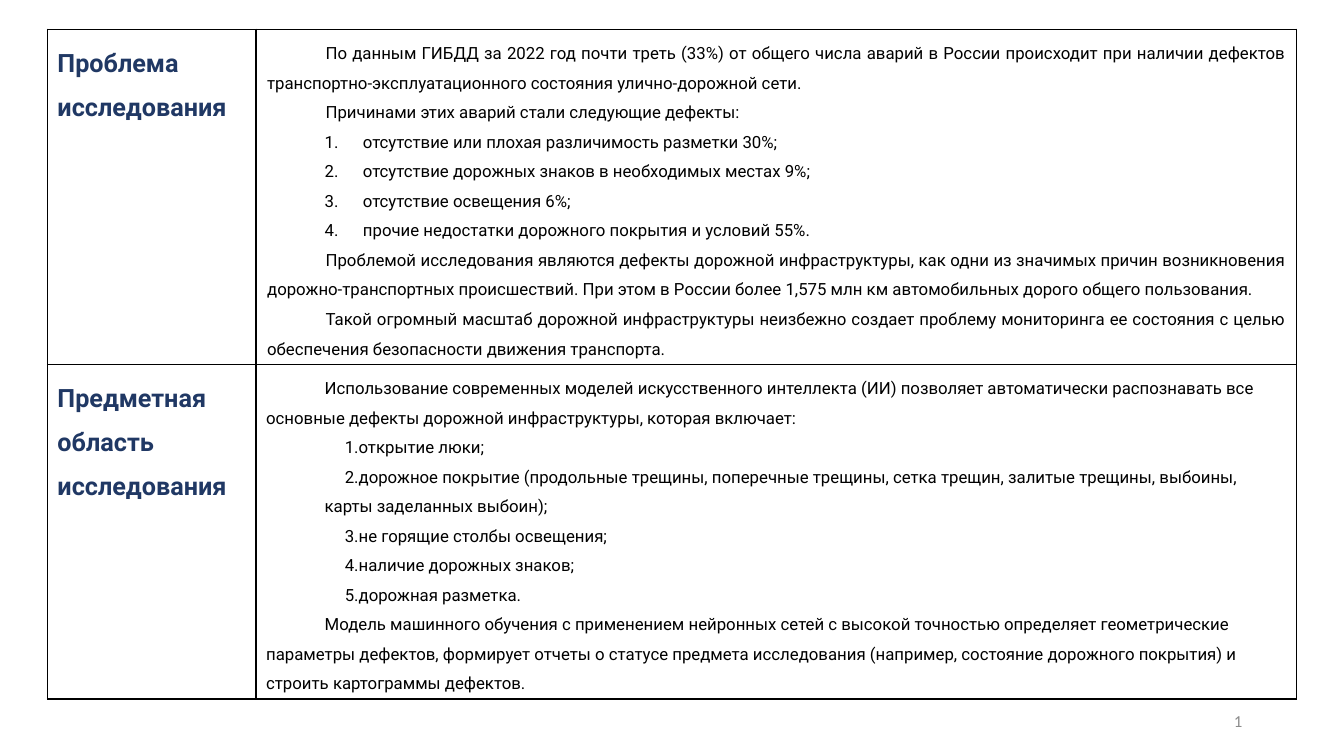
"""Builds a slide with a table of the research problem and subject area."""
from lxml.etree import SubElement
from pptx import Presentation
from pptx.dml.color import RGBColor
from pptx.enum.text import MSO_ANCHOR, PP_ALIGN as Align
from pptx.oxml.ns import qn
from pptx.util import Inches, Pt

COLORS = {"heading": "203864", "body": "000000", "border": "000000", "number": "8C8C8C", "cell": "FFFFFF"}

FONTS = {
    "heading": {"name": "Roboto", "size": Pt(18), "bold": True},
    "body": {"name": "Roboto", "size": Pt(12), "bold": False},
    "number": {"name": "Calibri", "size": Pt(12), "bold": False},
}

LAYOUTS = {
    "heading": {"align": Align.LEFT, "left": 0, "indent": 0, "numbered": False},
    "justified": {"align": Align.JUSTIFY, "left": 0.01, "indent": 0.58, "numbered": False},
    "plain": {"align": Align.LEFT, "left": 0, "indent": 0.58, "numbered": False},
    "hanging": {"align": Align.LEFT, "left": 0.96, "indent": -0.38, "numbered": True},
    "inset": {"align": Align.LEFT, "left": 0.58, "indent": 0.2, "numbered": True},
}

ROWS = [
    ("Проблема \vисследования ", [
        ("justified", "По данным ГИБДД за 2022 год почти треть (33%) от общего числа аварий в России "
         "происходит при наличии дефектов транспортно-эксплуатационного состояния улично-дорожной сети. "),
        ("justified", "Причинами этих аварий стали следующие дефекты:"),
        ("hanging", "отсутствие или плохая различимость разметки 30%;"),
        ("hanging", "отсутствие дорожных знаков в необходимых местах 9%;"),
        ("hanging", "отсутствие освещения 6%;"),
        ("hanging", "прочие недостатки дорожного покрытия и условий 55%."),
        ("justified", "Проблемой исследования являются дефекты дорожной инфраструктуры, как одни из значимых "
         "причин возникновения дорожно-транспортных происшествий. При этом в России более 1,575 млн км "
         "автомобильных дорого общего пользования. "),
        ("justified", "Такой огромный масштаб дорожной инфраструктуры неизбежно создает проблему мониторинга "
         "ее состояния с целью обеспечения безопасности движения транспорта."),
    ]),
    ("Предметная область исследования ", [
        ("plain", "Использование современных моделей искусственного интеллекта (ИИ) позволяет автоматически "
         "распознавать все основные дефекты дорожной инфраструктуры, которая включает:"),
        ("inset", "открытие люки;"),
        ("inset", "дорожное покрытие (продольные трещины, поперечные трещины, сетка трещин, залитые трещины, "
         "выбоины, карты заделанных выбоин);"),
        ("inset", "не горящие столбы освещения;"),
        ("inset", "наличие дорожных знаков;"),
        ("inset", "дорожная разметка."),
        ("plain", "Модель машинного обучения с применением нейронных сетей с высокой точностью определяет "
         "геометрические параметры дефектов, формирует отчеты о статусе предмета исследования (например, "
         "состояние дорожного покрытия) и строить картограммы дефектов."),
    ]),
]

TABLE_LEFT, TABLE_TOP = 0.47, 0.29
COLUMN_WIDTHS = [2.07, 10.32]
ROW_HEIGHT = 3.32


def write(para, text, style):
    para.text = text
    for span in para.runs:
        for key, value in FONTS[style].items():
            setattr(span.font, key, value)
        span.font.color.rgb = RGBColor.from_string(COLORS[style])


def arrange(para, layout):
    para.alignment = layout["align"]
    para.line_spacing = 1.5
    props = para._p.get_or_add_pPr()
    props.set("marL", str(Inches(layout["left"])))
    props.set("indent", str(Inches(layout["indent"])))
    if layout["numbered"]:
        SubElement(props, qn("a:buFont"), typeface="+mj-lt")
        SubElement(props, qn("a:buAutoNum"), type="arabicPeriod")


def fill_cell(cell, items, style):
    frame = cell.text_frame
    for index, (layout, text) in enumerate(items):
        para = frame.add_paragraph() if index else frame.paragraphs[0]
        write(para, text, style)
        arrange(para, LAYOUTS[layout])
    props = cell._tc.get_or_add_tcPr()
    for side in ("lnL", "lnR", "lnT", "lnB"):
        line = SubElement(props, qn(f"a:{side}"), w=str(Pt(1)))
        SubElement(SubElement(line, qn("a:solidFill")), qn("a:srgbClr"), val=COLORS["border"])
    cell.fill.solid()
    cell.fill.fore_color.rgb = RGBColor.from_string(COLORS["cell"])


deck = Presentation()
deck.slide_width, deck.slide_height = Inches(13.33), Inches(7.5)
page = deck.slides.add_slide(deck.slide_layouts[6])

table = page.shapes.add_table(
    len(ROWS), len(COLUMN_WIDTHS), Inches(TABLE_LEFT), Inches(TABLE_TOP),
    Inches(sum(COLUMN_WIDTHS)), Inches(ROW_HEIGHT * len(ROWS))).table
table.first_row = table.horz_banding = False
for column, width in zip(table.columns, COLUMN_WIDTHS):
    column.width = Inches(width)
for row, (heading, body) in zip(table.rows, ROWS):
    row.height = Inches(ROW_HEIGHT)
    fill_cell(row.cells[0], [("heading", heading)], "heading")
    fill_cell(row.cells[1], body, "body")

number_box = page.shapes.add_textbox(Inches(9.42), Inches(6.95), Inches(3), Inches(0.4))
number_frame = number_box.text_frame
number_frame.word_wrap = True
number_frame.vertical_anchor = MSO_ANCHOR.MIDDLE
write(number_frame.paragraphs[0], "1", "number")
number_frame.paragraphs[0].alignment = Align.RIGHT

deck.save("out.pptx")
